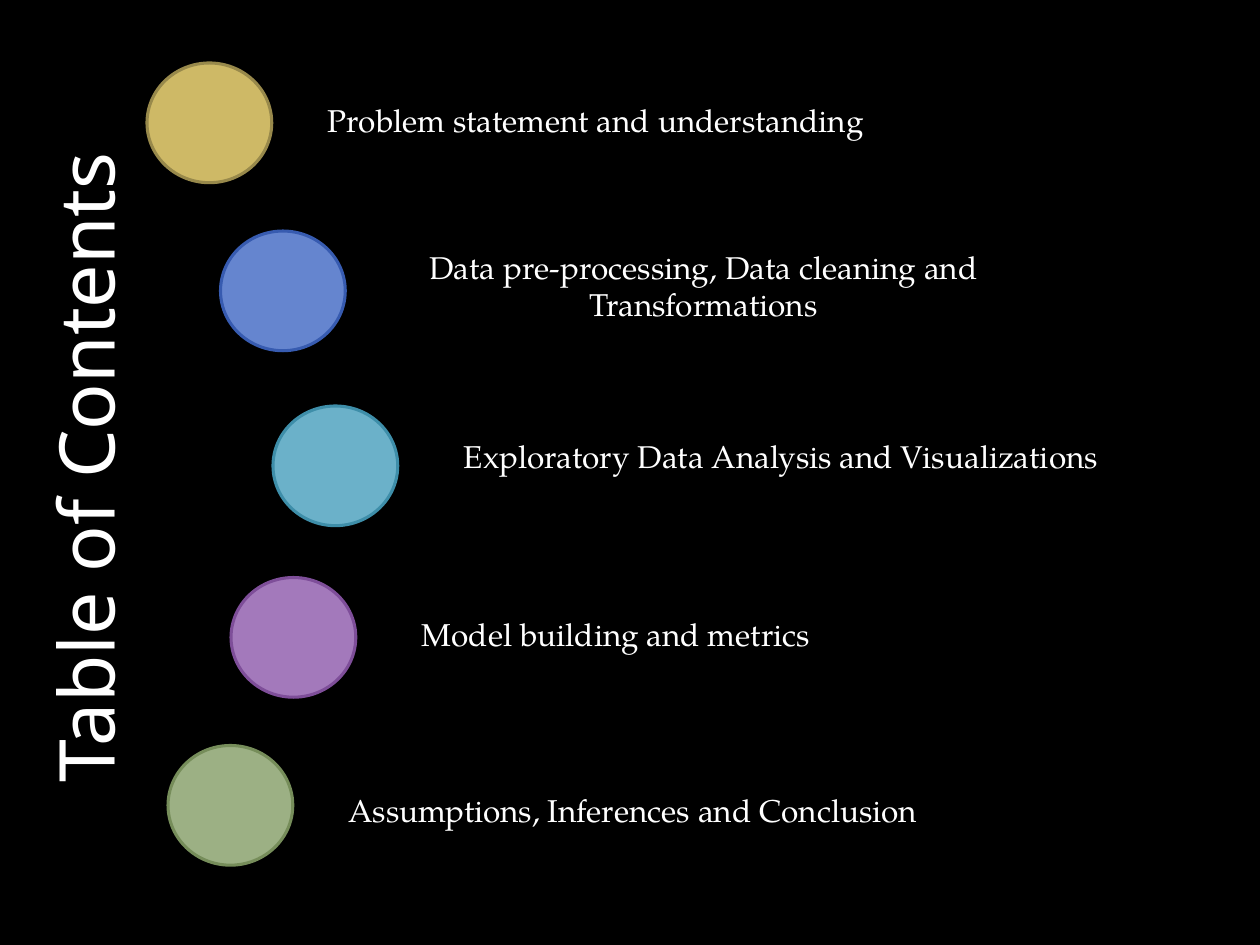
from pptx import Presentation
from pptx.dml.color import RGBColor
from pptx.enum import shapes, text
from pptx.util import Pt

THEME = {
    "background": "000000", "text": "FFFFFF",
    "title_font": "Noto Sans", "title_size": 44,
    "item_font": "TeX Gyre Pagella", "item_size": 18,
    "outline": 1.75,
}
SLIDE = (720, 540)
CIRCLE = (71.3, 68.4)
TITLE = "Table of Contents"
TITLE_BOX = (-141.1, 236.9, 378, 60.5)

LEFT, CENTER = text.PP_ALIGN.LEFT, text.PP_ALIGN.CENTER

# wording, alignment, text box (left, top, width, height), circle (left, top), fill, outline
ITEMS = [
    ("Problem statement and understanding", LEFT,
     (180, 54, 399.6, 29), (84, 36), "CEB966", "98894B"),
    ("Data pre-processing, Data cleaning and Transformations", CENTER,
     (210, 138, 384, 52), (126, 132), "6585CF", "375BB0"),
    ("Exploratory Data Analysis and Visualizations", LEFT,
     (258, 246, 390, 29), (156, 232), "6BB1C9", "3E8EA9"),
    ("Model building and metrics", LEFT,
     (234, 348, 454, 29), (132, 330), "A379BB", "7E4E99"),
    ("Assumptions, Inferences and Conclusion", LEFT,
     (192, 448.5, 354, 29), (96, 426), "9CB084", "768D5A"),
]


def color(name):
    return RGBColor.from_string(THEME.get(name, name))


def add_text(page, wording, bounds, role, align):
    """Add a text box in the font and size of the role, 'title' or 'item'."""
    box = page.shapes.add_textbox(*map(Pt, bounds))
    frame = box.text_frame
    frame.word_wrap = True
    frame.text = wording
    para = frame.paragraphs[0]
    para.alignment = align
    font = para.runs[0].font
    font.name = THEME[role + "_font"]
    font.size = Pt(THEME[role + "_size"])
    font.color.rgb = color("text")
    return box


def add_circle(page, corner, fill, outline):
    circle = page.shapes.add_shape(shapes.MSO_SHAPE.OVAL, *map(Pt, corner + CIRCLE))
    circle.shadow.inherit = False
    circle.fill.solid()
    circle.fill.fore_color.rgb = color(fill)
    circle.line.color.rgb = color(outline)
    circle.line.width = Pt(THEME["outline"])


def main():
    deck = Presentation()
    deck.slide_width, deck.slide_height = map(Pt, SLIDE)
    page = deck.slides.add_slide(deck.slide_layouts[6])
    page.background.fill.solid()
    page.background.fill.fore_color.rgb = color("background")

    title = add_text(page, TITLE, TITLE_BOX, "title", CENTER)
    title.rotation = 270
    title.text_frame.vertical_anchor = text.MSO_ANCHOR.MIDDLE

    for wording, align, bounds, corner, fill, outline in ITEMS:
        add_circle(page, corner, fill, outline)
        box = add_text(page, wording, bounds, "item", align)
        box.text_frame.auto_size = text.MSO_AUTO_SIZE.SHAPE_TO_FIT_TEXT

    deck.save("out.pptx")


if __name__ == "__main__":
    main()
